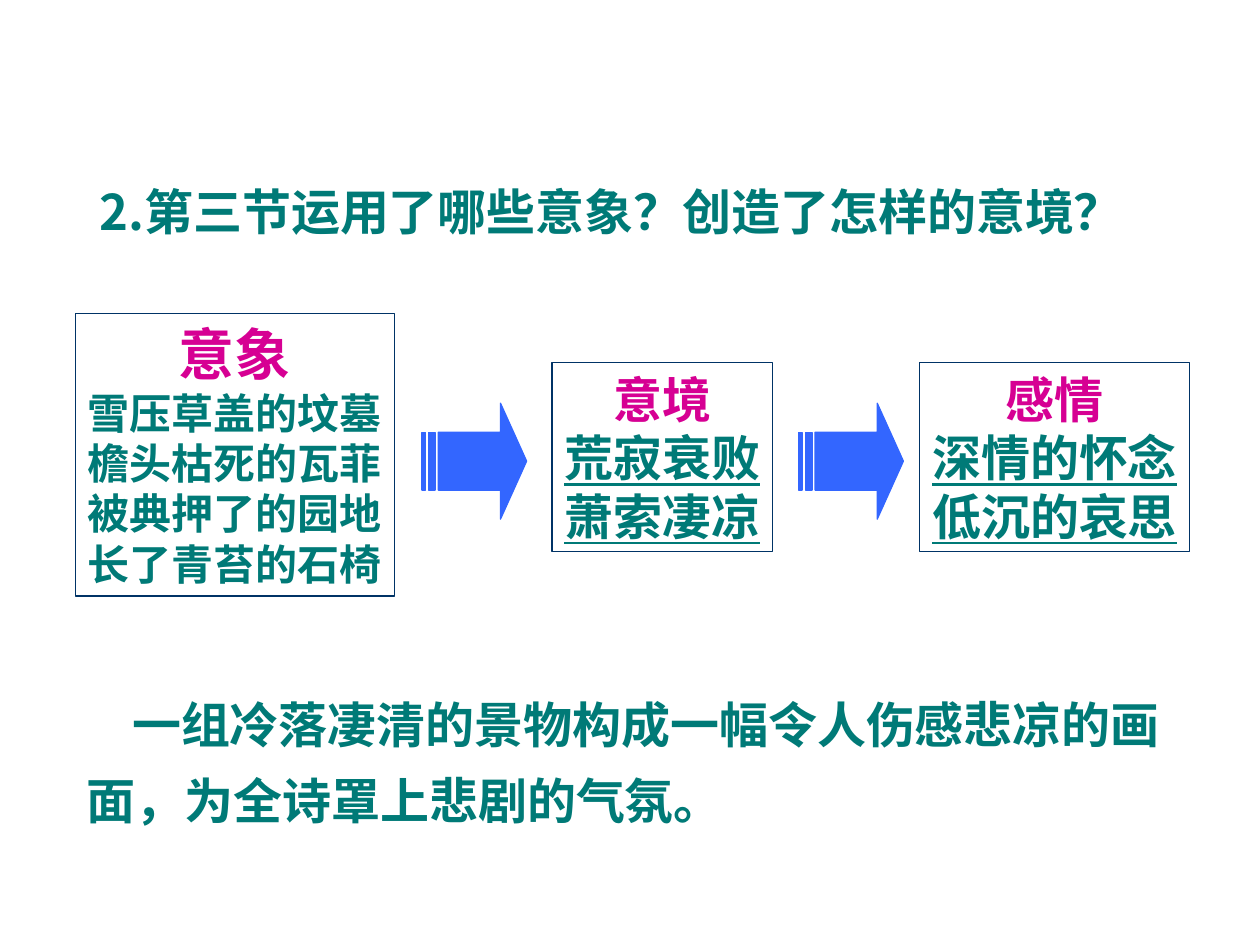
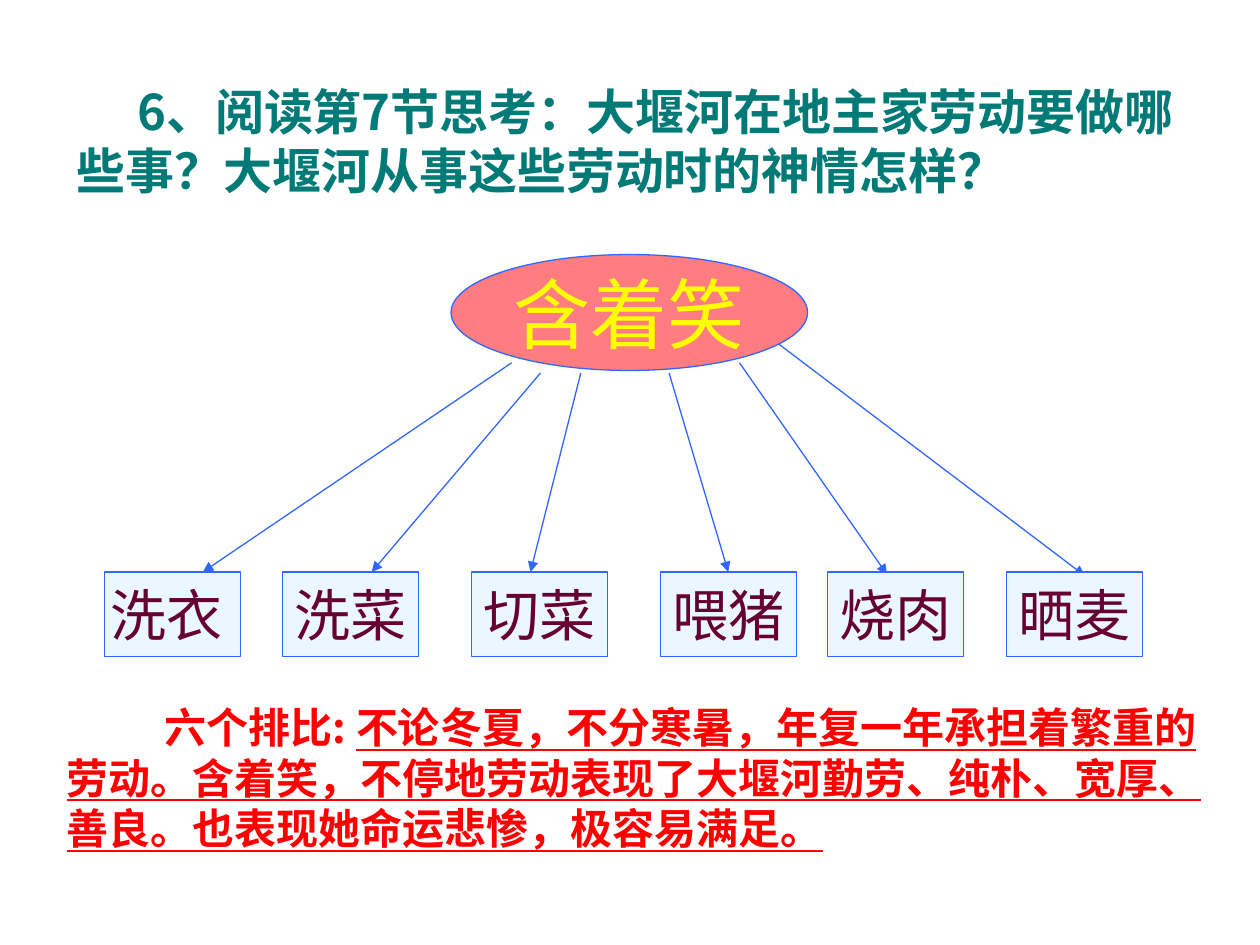
"""Build two slides on the imagery and the labour described in a poem."""
from typing import NamedTuple

from lxml.etree import SubElement
from pptx import Presentation
from pptx.dml.color import RGBColor
from pptx.enum.shapes import MSO_CONNECTOR, MSO_SHAPE
from pptx.enum.text import MSO_ANCHOR, MSO_AUTO_SIZE, PP_ALIGN
from pptx.oxml.ns import qn
from pptx.util import Emu, Pt

EMU_PER_PX = 9144
TEAL = RGBColor(0x00, 0x7A, 0x77)
MAGENTA = RGBColor(0xD6, 0x00, 0x93)
NAVY = RGBColor(0x00, 0x33, 0x66)
BLUE = RGBColor(0x33, 0x66, 0xFF)
PALE_BLUE = RGBColor(0xEB, 0xF7, 0xFF)
CORAL = RGBColor(0xFF, 0x7C, 0x80)
YELLOW = RGBColor(0xFF, 0xFF, 0x00)
PLUM = RGBColor(0x66, 0x00, 0x33)
RED = RGBColor(0xFF, 0x00, 0x00)
SANS, SERIF = "Noto Sans CJK SC", "Times New Roman"


class Box(NamedTuple):
    """Left, top, width and height in px."""
    x: int
    y: int
    w: int
    h: int


class Run(NamedTuple):
    """A piece of text with one format."""
    text: str
    size: int
    color: RGBColor
    font: str = SANS
    bold: bool = True
    underline: bool = False


class Panel(NamedTuple):
    """A framed list with a heading."""
    box: Box
    heading: str
    heading_size: int
    lines: list[str]
    size: int
    underline: bool


class Task(NamedTuple):
    """A chore box and the arrow that leads to it."""
    label: str
    x: int
    start: tuple[int, int]
    end: tuple[int, int]


PANELS = [
    Panel(Box(60, 249, 253, 224), "意象", 32,
          ["雪压草盖的坟墓", "檐头枯死的瓦菲", "被典押了的园地", "长了青苔的石椅"], 24, False),
    Panel(Box(438, 288, 175, 150), "意境", 28, ["荒寂衰败", "萧索凄凉"], 28, True),
    Panel(Box(730, 288, 214, 150), "感情", 28, ["深情的怀念", "低沉的哀思"], 28, True),
]
ARROW_LEFTS = [335, 634]
TASK_TOP, TASK_W, TASK_H = 454, 108, 67
TASKS = [
    Task("洗衣 ", 83, (406, 288), (161, 454)),
    Task("洗菜", 224, (429, 296), (295, 454)),
    Task("切菜", 374, (461, 296), (421, 454)),
    Task("喂猪", 524, (531, 296), (578, 454)),
    Task("烧肉", 657, (587, 288), (704, 456)),
    Task("晒麦", 799, (618, 273), (861, 457)),
]


def px(n: int) -> Emu:
    """Turn px into EMU."""
    return Emu(n * EMU_PER_PX)


def write(sp, paragraphs: list[list[Run]], align=PP_ALIGN.CENTER, anchor=MSO_ANCHOR.TOP,
          wrap: bool = False, indent: int = 0, spacing: float = 1.0) -> None:
    """Fill a shape with formatted paragraphs."""
    tf = sp.text_frame
    tf.auto_size = MSO_AUTO_SIZE.NONE
    tf.word_wrap = wrap
    tf.vertical_anchor = anchor
    tf.margin_left = tf.margin_right = px(10)
    tf.margin_top = tf.margin_bottom = px(5)
    for i, runs in enumerate(paragraphs):
        p = tf.add_paragraph() if i else tf.paragraphs[0]
        p.alignment = align
        p.line_spacing = spacing
        if indent:
            pPr = p._p.get_or_add_pPr()
            pPr.set("marL", "0")
            pPr.set("indent", str(px(indent)))
        for run in runs:
            r = p.add_run()
            r.text = run.text
            f = r.font
            f.name, f.size, f.bold = run.font, Pt(run.size), run.bold
            f.underline = run.underline
            f.color.rgb = run.color
            SubElement(f._element, qn("a:ea")).set("typeface", SANS)


def add_title(s, box: Box, text: str, indent: int = 0) -> None:
    """Place the question in the title placeholder."""
    sp = s.shapes.title
    sp.left, sp.top, sp.width, sp.height = map(px, box)
    write(sp, [[Run(text, 28, TEAL)]], PP_ALIGN.LEFT, wrap=True, indent=indent)


def add_shape(s, kind, box: Box, line: RGBColor, fill: RGBColor | None = None):
    """Draw a flat preset shape."""
    sp = s.shapes.add_shape(kind, *map(px, box))
    sp.shadow.inherit = False
    if fill is None:
        sp.fill.background()
    else:
        sp.fill.solid()
        sp.fill.fore_color.rgb = fill
    sp.line.color.rgb = line
    sp.line.width = Pt(0.75)
    return sp


def add_conclusion(s, box: Box, runs: list[Run], indent: int, spacing: float = 1.0) -> None:
    """Add the closing remark with a first-line indent."""
    sp = s.shapes.add_textbox(*map(px, box))
    write(sp, [runs], PP_ALIGN.LEFT, wrap=True, indent=indent, spacing=spacing)


def add_panel(s, panel: Panel) -> None:
    """Draw a framed list."""
    sp = add_shape(s, MSO_SHAPE.RECTANGLE, panel.box, NAVY)
    heading = Run(panel.heading, panel.heading_size, MAGENTA, SERIF)
    lines = [[Run(t, panel.size, TEAL, SERIF, underline=panel.underline)] for t in panel.lines]
    write(sp, [[heading], *lines])


def add_task(s, task: Task) -> None:
    """Draw an arrow and the chore box it leads to."""
    c = s.shapes.add_connector(MSO_CONNECTOR.STRAIGHT, *map(px, task.start + task.end))
    c.line.color.rgb = BLUE
    c.line.width = Pt(0.75)
    SubElement(c.line._get_or_add_ln(), qn("a:tailEnd")).set("type", "triangle")
    SubElement(c._element.spPr, qn("a:effectLst"))
    box = Box(task.x, TASK_TOP, TASK_W, TASK_H)
    sp = add_shape(s, MSO_SHAPE.RECTANGLE, box, BLUE, PALE_BLUE)
    write(sp, [[Run(task.label, 32, PLUM, SERIF, False)]], anchor=MSO_ANCHOR.MIDDLE)
    if task.end == (box.x + box.w // 2, box.y):
        c.end_connect(sp, 0)


def build_imagery(s) -> None:
    """Lead from images to mood to feeling."""
    add_title(s, Box(69, 139, 839, 104), "2.第三节运用了哪些意象？创造了怎样的意境？")
    for panel in PANELS:
        add_panel(s, panel)
    for x in ARROW_LEFTS:
        sp = add_shape(s, MSO_SHAPE.STRIPED_RIGHT_ARROW, Box(x, 320, 83, 92), BLUE, BLUE)
        sp.adjustments[0], sp.adjustments[1] = 0.5, 0.25
    text = "一组冷落凄清的景物构成一幅令人伤感悲凉的画面，为全诗罩上悲剧的气氛。"
    add_conclusion(s, Box(59, 532, 892, 132), [Run(text, 28, TEAL)], 36, 1.3)


def build_labour(s) -> None:
    """Fan out from the smile to six chores."""
    add_title(s, Box(51, 60, 906, 104),
              "6、阅读第7节思考：大堰河在地主家劳动要做哪些事？大堰河从事这些劳动时的神情怎样？", 48)
    sp = add_shape(s, MSO_SHAPE.OVAL, Box(358, 202, 283, 92), BLUE, CORAL)
    write(sp, [[Run("含着笑", 44, YELLOW, SERIF, False)]], anchor=MSO_ANCHOR.MIDDLE)
    for task in TASKS:
        add_task(s, task)
    text = ("不论冬夏，不分寒暑，年复一年承担着繁重的劳动。含着笑，不停地劳动表现了"
            "大堰河勤劳、纯朴、宽厚、善良。也表现她命运悲惨，极容易满足。")
    add_conclusion(s, Box(43, 552, 925, 132),
                   [Run("六个排比: ", 24, RED), Run(text, 24, RED, underline=True)], 78)


def main() -> None:
    """Build and save the slides."""
    prs = Presentation()
    prs.slide_width, prs.slide_height = px(1000), px(750)
    for build in (build_imagery, build_labour):
        build(prs.slides.add_slide(prs.slide_layouts[5]))
    prs.save("out.pptx")


if __name__ == "__main__":
    main()
